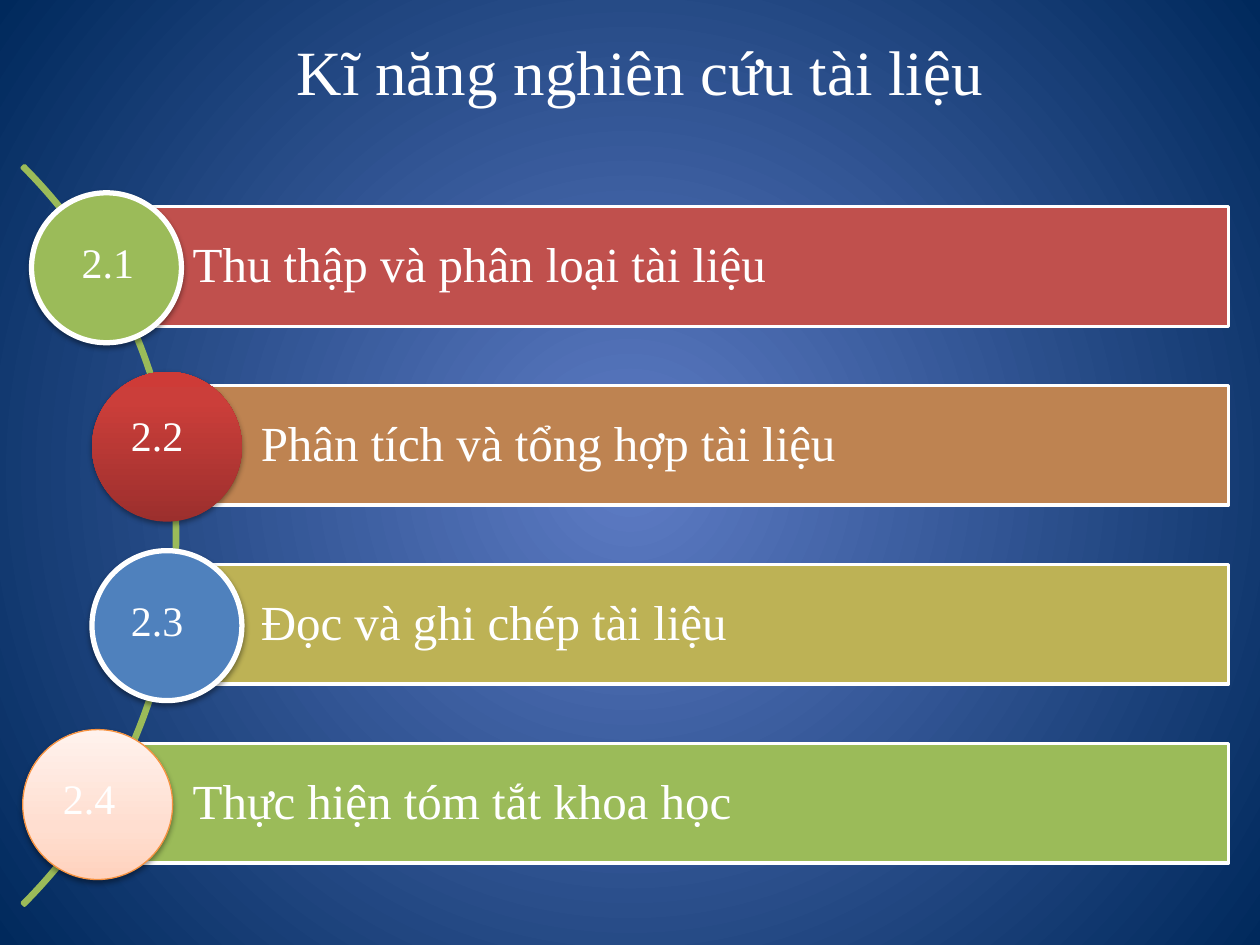
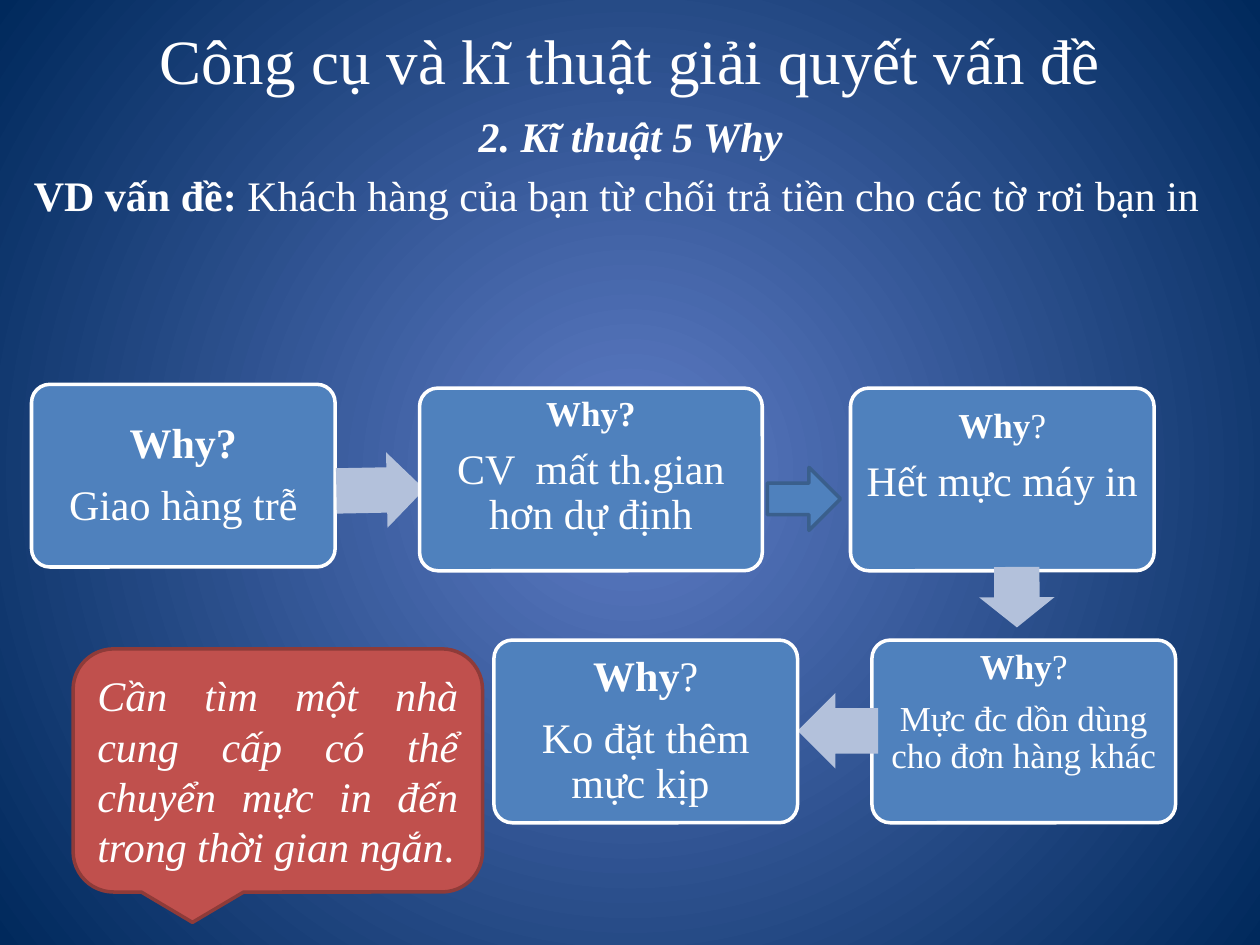
from pptx import Presentation
from pptx.dml.color import RGBColor
from pptx.enum.shapes import MSO_SHAPE
from pptx.enum.text import MSO_ANCHOR, PP_ALIGN
from pptx.oxml import parse_xml
from pptx.oxml.ns import nsdecls, qn
from pptx.util import Inches, Pt

RECT, OVAL, ARC = MSO_SHAPE.RECTANGLE, MSO_SHAPE.OVAL, MSO_SHAPE.BLOCK_ARC
ROUNDED, ARROW = MSO_SHAPE.ROUNDED_RECTANGLE, MSO_SHAPE.RIGHT_ARROW
CALLOUT = MSO_SHAPE.ROUNDED_RECTANGULAR_CALLOUT
TOP, MIDDLE = MSO_ANCHOR.TOP, MSO_ANCHOR.MIDDLE
LEFT, CENTER, JUSTIFY = PP_ALIGN.LEFT, PP_ALIGN.CENTER, PP_ALIGN.JUSTIFY

FONT = "Times New Roman"
WHITE, BLUE, RED, GREEN = "FFFFFF", "4F81BD", "C0504D", "9BBB59"
PALE_BLUE, DARK_BLUE, DARK_RED = "B3C1DB", "3A5F8C", "8E3B39"
BACKGROUND = [(0, "5E7CC5"), (100, "00295C")]
RADIAL = ('<a:path path="circle"><a:fillToRect l="50000" t="50000" '
          'r="50000" b="50000"/></a:path>')
UPWARD = '<a:lin ang="16200000" scaled="0"/>'

# Slide 1: bar text, bar left, bar colour
SKILLS_TITLE = "Kĩ năng nghiên cứu tài liệu"
BARS = [
    ("Thu thập và phân loại tài liệu", 0.78, RED),
    ("Phân tích và tổng hợp tài liệu", 1.32, "BE8351"),
    ("Đọc và ghi chép tài liệu", 1.32, "BDB255"),
    ("Thực hiện tóm tắt khoa học", 0.78, GREEN),
]
# circle left, fill, outline (colour, width), label, label left, label top
CIRCLES = [
    (0.25, GREEN, (WHITE, 3), "2.1", 0.55, 1.83),
    (0.73, [(0, "9C2F2D"), (80, "CB3E3A"), (100, "CE3B37")], None,
     "2.2", 0.94, 3.2),
    (0.73, BLUE, (WHITE, 3), "2.3", 0.94, 4.67),
    (0.18, [(0, "FFD2BD"), (35, "FFDED0"), (100, "FFF2ED")],
     ("F69240", 0.75), "2.4", 0.4, 6.08),
]
ROW_STEP, BAR_TOP, CIRCLE_TOP, BAR_RIGHT = 1.42, 1.64, 1.53, 9.75

# Slide 2: a paragraph is a list of runs (text, size, style)
WHY_TITLE = "Công cụ và kĩ thuật giải quyết vấn đề"
EXAMPLE = [
    (CENTER, [("2. Kĩ thuật 5 Why", 24, "bi")]),
    (JUSTIFY, [("VD vấn đề: ", 24, "b"),
               ("Khách hàng của bạn từ chối trả tiền cho các tờ rơi bạn in",
                24, "")]),
]
# left, top, width, anchor, top inset, size and text of the cause,
# size and runs of the question, arrow drawn after the box
BOX_H = 1.45
BOXES = [
    (0.25, 3.05, 2.41, MIDDLE, 0.1, [("Why?", 24, "b")],
     ("Giao hàng trễ", 24, ""), (2.67, 3.59, 0.7, -1.1)),
    (3.33, 3.08, 2.72, TOP, 0.02, [("Why?", 20, "b")],
     ("CV  mất th.gian hơn dự định", 24, ""), None),
    (6.75, 3.08, 2.41, TOP, 0.12, [("Why", 20, "b"), ("?", 20, "")],
     ("Hết mực máy in", 24, ""), (7.83, 4.44, 0.48, 89.8)),
    (6.92, 5.08, 2.41, TOP, 0.03, [("Why", 20, "b"), ("?", 20, "")],
     ("Mực đc dồn dùng cho đơn hàng khác", 20, ""), (6.33, 5.5, 0.64, 180)),
    (3.92, 5.08, 2.41, MIDDLE, 0.1, [("Why", 24, "b"), ("?", 24, "")],
     ("Ko đặt thêm mực kịp ", 24, ""), None),
]
SOLUTION = [
    ("Cần tìm một nhà cung cấp có thể chuyển mực in đến trong thời gian ngắn",
     24, "i"),
    (".", 24, ""),
]


def rgb(color):
    return RGBColor.from_string(color)


def paint(fill, element, color, direction=UPWARD):
    """Fill with one colour, or with a gradient when given a list of stops."""
    fill.solid()
    if isinstance(color, str):
        fill.fore_color.rgb = rgb(color)
        return
    stops = "".join(f'<a:gs pos="{pos * 1000}"><a:srgbClr val="{c}"/></a:gs>'
                    for pos, c in color)
    gradient = parse_xml(f'<a:gradFill {nsdecls("a")} rotWithShape="1">'
                         f'<a:gsLst>{stops}</a:gsLst>{direction}</a:gradFill>')
    solid = element.find(".//" + qn("a:solidFill"))
    solid.getparent().replace(solid, gradient)


def add_shape(s, kind, box, color=None, line=None, adjust=()):
    sp = s.shapes.add_shape(kind, *map(Inches, box))
    sp.shadow.inherit = False
    for i, value in enumerate(adjust):
        sp.adjustments[i] = value
    if color:
        paint(sp.fill, sp.element, color)
    else:
        sp.fill.background()
    if line:
        sp.line.color.rgb = rgb(line[0])
        sp.line.width = Pt(line[1])
    else:
        sp.line.fill.background()
    return sp


def add_shadow(sp):
    effects = sp.element.spPr.find(qn("a:effectLst"))
    effects.append(parse_xml(
        f'<a:outerShdw {nsdecls("a")} blurRad="40000" dist="20000" '
        'dir="5400000" rotWithShape="0"><a:srgbClr val="000000">'
        '<a:alpha val="38000"/></a:srgbClr></a:outerShdw>'))


def write(sp, paragraphs, anchor=TOP, insets=(0.1, 0.05, 0.1, 0.05),
          spacing=None, before=0, after=0):
    """Write (alignment, runs) paragraphs; after is a share of the text size."""
    tf = sp.text_frame
    tf.word_wrap = True
    tf.vertical_anchor = anchor
    (tf.margin_left, tf.margin_top,
     tf.margin_right, tf.margin_bottom) = map(Inches, insets)
    for i, (align, runs) in enumerate(paragraphs):
        p = tf.add_paragraph() if i else tf.paragraphs[0]
        p.alignment = align
        p.space_before = Pt(before)
        p.space_after = Pt(after * runs[0][1])
        if spacing:
            p.line_spacing = spacing
        for text, size, style in runs:
            r = p.add_run()
            r.text = text
            r.font.name = FONT
            r.font.size = Pt(size)
            r.font.bold = "b" in style
            r.font.italic = "i" in style
            r.font.color.rgb = rgb(WHITE)


def add_text(s, box, paragraphs, **layout):
    write(s.shapes.add_textbox(*map(Inches, box)), paragraphs, **layout)


def new_slide(prs, title, title_box):
    s = prs.slides.add_slide(prs.slide_layouts[6])
    paint(s.background.fill, s.element, BACKGROUND, RADIAL)
    add_text(s, title_box, [(CENTER, [(title, 36, "")])], anchor=MIDDLE)
    return s


def skills_slide(prs):
    s = new_slide(prs, SKILLS_TITLE, (0.58, 0.08, 9, 0.95))
    add_shape(s, ARC, (-6.89, 0.1, 8.3, 8.3), line=(GREEN, 2),
              adjust=(189, 27, 0.003))
    for i, (bar, circle) in enumerate(zip(BARS, CIRCLES)):
        text, left, color = bar
        sp = add_shape(s, RECT, (left, BAR_TOP + i * ROW_STEP,
                                 BAR_RIGHT - left, 0.95), color, (WHITE, 2))
        write(sp, [(LEFT, [(text, 28, "")])], MIDDLE,
              (0.75, 0.08, 0.08, 0.08), spacing=0.9)
        left, color, line, label, label_left, label_top = circle
        add_shadow(add_shape(s, OVAL, (left, CIRCLE_TOP + i * ROW_STEP,
                                       1.19, 1.19), color, line))
        add_text(s, (label_left, label_top, 0.83, 0.5),
                 [(LEFT, [(label, 24, "")])])


def why_slide(prs):
    s = new_slide(prs, WHY_TITLE, (0.5, 0.08, 9, 0.78))
    add_text(s, (0.17, 0.83, 9.67, 6.33), EXAMPLE, before=5)
    for left, top, width, anchor, inset, question, cause, arrow in BOXES:
        sp = add_shape(s, ROUNDED, (left, top, width, BOX_H), BLUE,
                       (WHITE, 2), (0.1,))
        write(sp, [(CENTER, question), (CENTER, [cause])], anchor,
              (0.07, inset, 0.07, 0.1), spacing=0.9, after=0.4)
        if arrow:
            x, y, length, angle = arrow
            sp = add_shape(s, ARROW, (x, y, length, 0.6), PALE_BLUE,
                           adjust=(0.6, 0.5))
            sp.rotation = angle
    add_shape(s, ARROW, (6.09, 3.71, 0.58, 0.5), BLUE, (DARK_BLUE, 2))
    sp = add_shape(s, CALLOUT, (0.58, 5.15, 3.25, 1.93), RED, (DARK_RED, 2))
    write(sp, [(JUSTIFY, SOLUTION)], MIDDLE)


def main():
    prs = Presentation()
    prs.slide_width, prs.slide_height = Inches(10), Inches(7.5)
    skills_slide(prs)
    why_slide(prs)
    prs.save("out.pptx")


if __name__ == "__main__":
    main()
